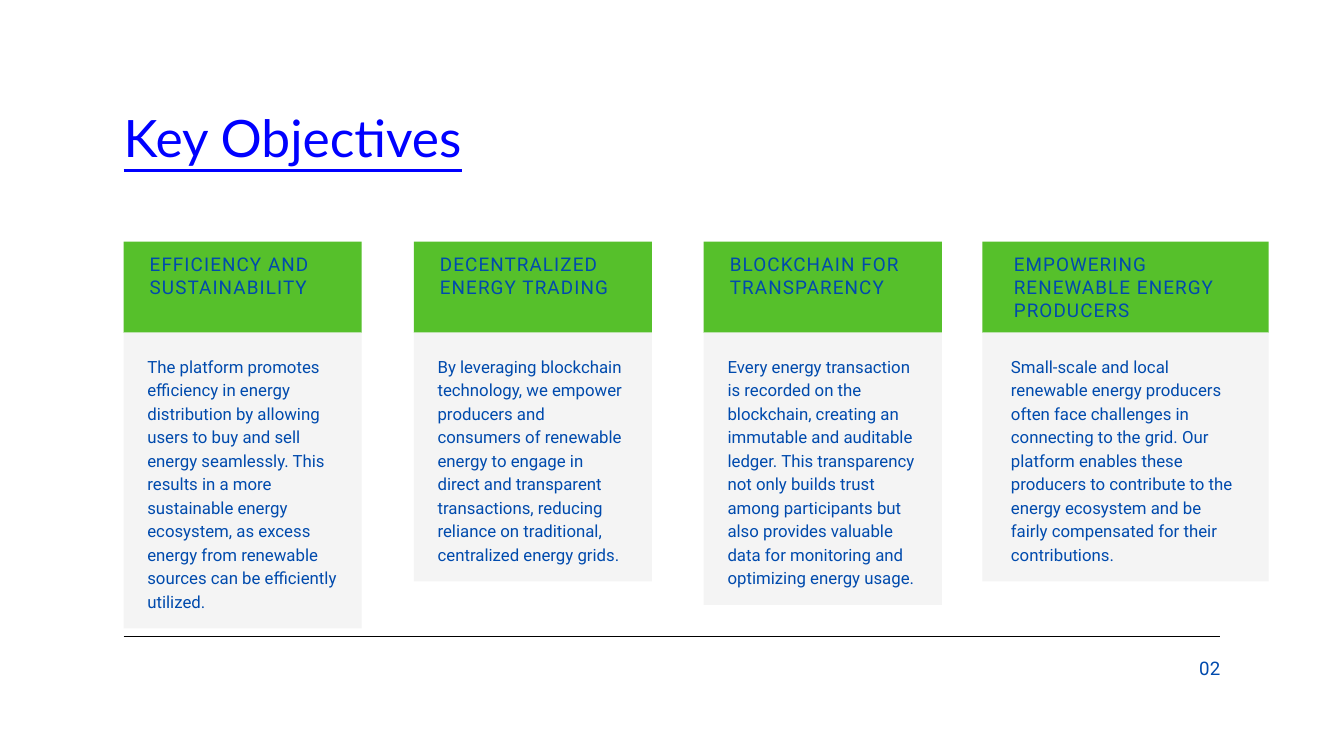
from dataclasses import dataclass

from pptx import Presentation
from pptx.dml.color import RGBColor as RGB
from pptx.enum.shapes import MSO_CONNECTOR as Connector, MSO_SHAPE as Shape
from pptx.enum.text import PP_ALIGN as Align
from pptx.oxml.ns import qn
from pptx.util import Cm, Pt


@dataclass(frozen=True)
class Theme:
    title_color: RGB = RGB(0x00, 0x00, 0xFF)
    text_color: RGB = RGB(0x00, 0x4A, 0xAD)
    heading_fill: RGB = RGB(0x56, 0xC0, 0x2B)
    body_fill: RGB = RGB(0xF4, 0xF4, 0xF4)
    rule_color: RGB = RGB(0x00, 0x00, 0x00)
    title_size: float = 55.2
    heading_size: float = 20.2
    body_size: float = 18
    number_size: float = 20


THEME = Theme()

# Type styles: font attributes, colour, line spacing and letter spacing in points
TITLE = {"font": {"name": "Lato", "size": Pt(THEME.title_size), "underline": True},
         "color": THEME.title_color, "leading": 58, "tracking": 0}
HEADING = {"font": {"name": "Roboto", "size": Pt(THEME.heading_size)},
           "color": THEME.text_color, "leading": 24.2, "tracking": 1.2}
BODY = {"font": {"name": "Roboto", "size": Pt(THEME.body_size)},
        "color": THEME.text_color, "leading": 25.2, "tracking": 0}
NUMBER = {"font": {"name": "Roboto", "size": Pt(THEME.number_size)},
          "color": THEME.text_color, "leading": 28, "tracking": 0.4}

# Layout in centimetres
LEFT, RIGHT = 4.67, 46.13
HEADING_TOP, HEADING_HEIGHT = 9.14, 3.45
BODY_TOP, LINE_HEIGHT, BODY_PADDING = 12.57, 0.89, 1.4
HEADING_INSET, BODY_INSET = 0.11, 0.1  # share of the card width

# Left, width, lines of body text, heading, body
OBJECTIVES = [
    (LEFT, 9, 11, "EFFICIENCY AND SUSTAINABILITY",
     "The platform promotes efficiency in energy distribution by allowing users "
     "to buy and sell energy seamlessly. This results in a more sustainable energy "
     "ecosystem, as excess energy from renewable sources can be efficiently utilized."),
    (15.64, 9, 9, "DECENTRALIZED ENERGY TRADING",
     "By leveraging blockchain technology, we empower producers and consumers of "
     "renewable energy to engage in direct and transparent transactions, reducing "
     "reliance on traditional, centralized energy grids."),
    (26.6, 9, 10, "BLOCKCHAIN FOR TRANSPARENCY",
     "Every energy transaction is recorded on the blockchain, creating an immutable "
     "and auditable ledger. This transparency not only builds trust among participants "
     "but also provides valuable data for monitoring and optimizing energy usage."),
    (37.13, 10.82, 9, "EMPOWERING RENEWABLE ENERGY PRODUCERS",
     "Small-scale and local renewable energy producers often face challenges in "
     "connecting to the grid. Our platform enables these producers to contribute to "
     "the energy ecosystem and be fairly compensated for their contributions."),
]


def add_text(slide, left, top, width, height, wording, style, align=Align.LEFT):
    box = slide.shapes.add_textbox(Cm(left), Cm(top), Cm(width), Cm(height))
    frame = box.text_frame
    frame_format = {"word_wrap": True, "margin_left": 0, "margin_top": 0,
                    "margin_right": 0, "margin_bottom": 0}
    for attribute, value in frame_format.items():
        setattr(frame, attribute, value)
    paragraph = frame.paragraphs[0]
    paragraph.alignment = align
    paragraph.line_spacing = Pt(style["leading"])
    run = paragraph.add_run()
    run.text = wording
    for attribute, value in style["font"].items():
        setattr(run.font, attribute, value)
    run.font.color.rgb = style["color"]
    if style["tracking"]:
        run.font._element.set("spc", str(round(style["tracking"] * 100)))


def add_panel(slide, left, top, width, height, fill):
    panel = slide.shapes.add_shape(Shape.RECTANGLE, Cm(left), Cm(top), Cm(width), Cm(height))
    panel.shadow.inherit = False
    panel.fill.solid()
    panel.fill.fore_color.rgb = fill
    panel.line.fill.background()


def add_objective(slide, left, width, lines, heading, body):
    # Green heading
    inset = width * HEADING_INSET
    add_panel(slide, left, HEADING_TOP, width, HEADING_HEIGHT, THEME.heading_fill)
    add_text(slide, left + inset, HEADING_TOP + 0.43, width - 2 * inset, 2.57,
             heading, HEADING)
    # Grey body, as tall as its text
    inset = width * BODY_INSET
    height = lines * LINE_HEIGHT + BODY_PADDING
    add_panel(slide, left, BODY_TOP, width, height, THEME.body_fill)
    add_text(slide, left + inset, BODY_TOP + 0.77, width - 2 * inset, height - 1.57,
             body, BODY)


def add_rule(slide, top):
    rule = slide.shapes.add_connector(Connector.STRAIGHT, Cm(LEFT), Cm(top), Cm(RIGHT), Cm(top))
    rule.line.color.rgb = THEME.rule_color
    rule.line.width = Pt(0.75)
    properties = rule._element.spPr
    properties.append(properties.makeelement(qn("a:effectLst"), {}))


def main():
    deck = Presentation()
    deck.slide_width, deck.slide_height = Cm(50.8), Cm(28.58)
    slide = deck.slides.add_slide(deck.slide_layouts[6])

    # Title
    add_text(slide, LEFT, 4.29, 19.56, 2.13, "Key Objectives", TITLE)

    # Objective cards
    for objective in OBJECTIVES:
        add_objective(slide, *objective)

    # Footer
    add_rule(slide, 24.05)
    add_text(slide, RIGHT - 5.05, 24.69, 5.05, 0.97, "02", NUMBER, Align.RIGHT)

    deck.save("out.pptx")


if __name__ == "__main__":
    main()
